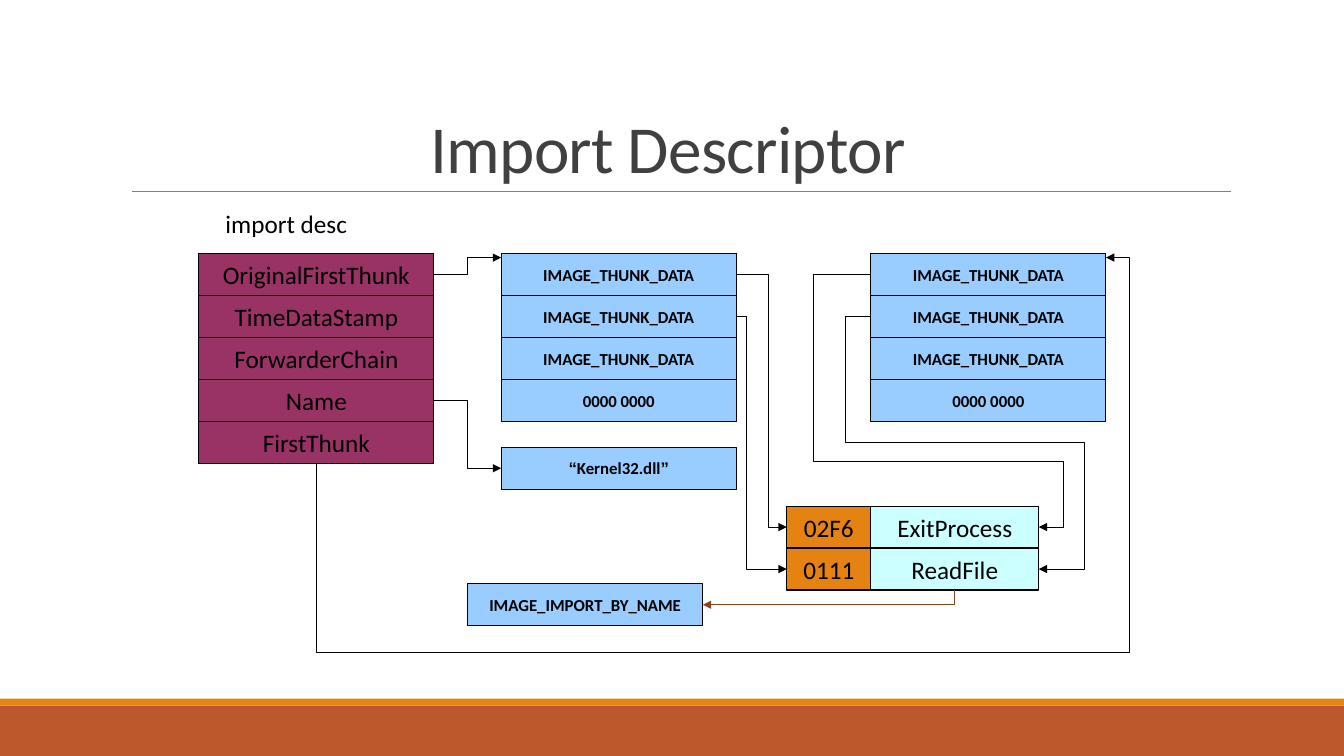
"""Build the Import Descriptor slide with its structure tables and arrows."""
import dataclasses
import itertools
import typing

import lxml.etree
import pptx
import pptx.dml.color
import pptx.enum.shapes
import pptx.enum.text
import pptx.oxml
import pptx.oxml.ns
import pptx.util

Pt = pptx.util.Pt
Align = pptx.enum.text.PP_ALIGN
Anchor = pptx.enum.text.MSO_ANCHOR
AutoSize = pptx.enum.text.MSO_AUTO_SIZE
LEFT, BOTTOM, RIGHT = 1, 2, 3


@dataclasses.dataclass(frozen=True)
class Theme:
    font: str = "Calibri"
    quote_font: str = "Arial"
    ink: str = "000000"
    title_ink: str = "404040"
    rule: str = "808080"
    footer: str = "BD582C"
    orange: str = "E48312"
    descriptor: str = "993366"
    thunk: str = "99CCFF"
    function: str = "CCFFFF"
    name_arrow: str = "8E4221"
    title_size: float = 48
    body_size: float = 18
    small_size: float = 12
    outline: float = 0.75


THEME = Theme()
ROW_HEIGHT = 30
TABLE_TOP = 181
TABLE_WIDTH = 168
DESCRIPTOR_LEFT, LOOKUP_LEFT, ADDRESS_LEFT = 142, 358, 622
HINT_LEFT, HINT_WIDTH = 562, 60
NAMES_TOP = 361.5


@dataclasses.dataclass(frozen=True)
class Column:
    left: float
    top: float
    width: float
    fill: str
    rows: tuple[str, ...]
    size: float = THEME.body_size
    bold: bool = False


@dataclasses.dataclass(frozen=True)
class Route:
    start: typing.Any
    start_site: int
    end: typing.Any
    end_site: int
    bends: int = 3
    adjustments: tuple[float, ...] = ()
    turn: int = 0
    color: str = THEME.ink
    width: float = THEME.outline


def rgb(value: str) -> pptx.dml.color.RGBColor:
    return pptx.dml.color.RGBColor.from_string(value)


def write(frame, text: str, *, size: float = THEME.body_size, color: str = THEME.ink,
          bold: bool = False, align=Align.CENTER, anchor=Anchor.MIDDLE,
          wrap: bool = False, auto_size=AutoSize.NONE,
          line_spacing: float = 1.0, tracking: int = 0) -> None:
    frame.word_wrap = wrap
    frame.auto_size = auto_size
    frame.vertical_anchor = anchor
    paragraph = frame.paragraphs[0]
    paragraph.alignment = align
    paragraph.line_spacing = line_spacing
    for quoted, letters in itertools.groupby(text, lambda letter: letter in "“”"):
        run = paragraph.add_run()
        run.text = "".join(letters)
        run.font.name = THEME.quote_font if quoted else THEME.font
        run.font.size = Pt(size)
        run.font.bold = bold
        run.font.color.rgb = rgb(color)
        if tracking:
            run.font._element.set("spc", str(tracking))


def add_box(slide, left: float, top: float, width: float, height: float,
            fill: str, outlined: bool = True):
    shape = slide.shapes.add_shape(pptx.enum.shapes.MSO_SHAPE.RECTANGLE,
                                   Pt(left), Pt(top), Pt(width), Pt(height))
    shape.shadow.inherit = False
    shape.fill.solid()
    shape.fill.fore_color.rgb = rgb(fill)
    if outlined:
        shape.line.color.rgb = rgb(THEME.ink)
        shape.line.width = Pt(THEME.outline)
    else:
        shape.line.fill.background()
    return shape


def add_column(slide, column: Column) -> list:
    boxes = []
    for index, text in enumerate(column.rows):
        box = add_box(slide, column.left, column.top + index * ROW_HEIGHT,
                      column.width, ROW_HEIGHT, column.fill)
        write(box.text_frame, text, size=column.size, bold=column.bold)
        boxes.append(box)
    return boxes


def style_line(connector, color: str, width: float, arrow: bool = False) -> None:
    connector.line.color.rgb = rgb(color)
    connector.line.width = Pt(width)
    if arrow:
        line = connector.line._get_or_add_ln()
        lxml.etree.SubElement(line, pptx.oxml.ns.qn("a:tailEnd"), type="triangle")
    properties = connector._element.spPr
    lxml.etree.SubElement(properties, pptx.oxml.ns.qn("a:effectLst"))


def turn_connector(connector, degrees: int) -> None:
    center_x = (connector.begin_x + connector.end_x) // 2
    center_y = (connector.begin_y + connector.end_y) // 2
    width, height = connector.height, connector.width
    connector.left, connector.top = center_x - width // 2, center_y - height // 2
    connector.width, connector.height = width, height
    transform = connector._element.spPr.find(pptx.oxml.ns.qn("a:xfrm"))
    for flip in ("flipH", "flipV"):
        transform.attrib.pop(flip, None)
    transform.set("rot", str(degrees * 60000))


def add_route(slide, route: Route) -> None:
    connector = slide.shapes.add_connector(
        pptx.enum.shapes.MSO_CONNECTOR.ELBOW, 0, 0, 0, 0)
    connector.begin_connect(route.start, route.start_site)
    connector.end_connect(route.end, route.end_site)
    if route.turn:
        turn_connector(connector, route.turn)
    geometry = connector._element.spPr.find(pptx.oxml.ns.qn("a:prstGeom"))
    geometry.set("prst", f"bentConnector{route.bends}")
    guides = geometry.find(pptx.oxml.ns.qn("a:avLst"))
    for number, value in enumerate(route.adjustments, 1):
        lxml.etree.SubElement(guides, pptx.oxml.ns.qn("a:gd"), name=f"adj{number}",
                              fmla=f"val {round(value * 100000)}")
    style_line(connector, route.color, route.width, arrow=True)


def add_frame(slide) -> None:
    add_box(slide, 0, 504, 960, 36, THEME.footer, outlined=False)
    add_box(slide, 0, 499, 960, 5, THEME.orange, outlined=False)
    rule = slide.shapes.add_connector(pptx.enum.shapes.MSO_CONNECTOR.STRAIGHT,
                                      Pt(94.5), Pt(136.5), Pt(879), Pt(136.5))
    style_line(rule, THEME.rule, 0.5)
    title = slide.shapes.title
    title.left, title.top, title.width, title.height = Pt(86.4), Pt(22.5), Pt(792), Pt(114.5)
    write(title.text_frame, "Import Descriptor ", size=THEME.title_size,
          color=THEME.title_ink, anchor=Anchor.BOTTOM, wrap=True,
          line_spacing=0.85, tracking=-50)


def add_diagram(slide) -> None:
    lookup_corner, address_corner = [
        add_box(slide, left, TABLE_TOP, TABLE_WIDTH, 6, THEME.thunk)
        for left in (LOOKUP_LEFT, ADDRESS_LEFT)]
    label = slide.shapes.add_textbox(Pt(154), Pt(145.5), Pt(102), Pt(29))
    write(label.text_frame, "import desc", align=Align.LEFT, anchor=Anchor.TOP,
          auto_size=AutoSize.SHAPE_TO_FIT_TEXT)

    def thunk_column(left: float, top: float, *rows: str) -> list:
        return add_column(slide, Column(left, top, TABLE_WIDTH, THEME.thunk, rows,
                                        THEME.small_size, True))

    descriptor = add_column(slide, Column(
        DESCRIPTOR_LEFT, TABLE_TOP, TABLE_WIDTH, THEME.descriptor,
        ("OriginalFirstThunk", "TimeDataStamp", "ForwarderChain", "Name", "FirstThunk")))
    thunk_rows = ("IMAGE_THUNK_DATA",) * 3 + ("0000 0000",)
    lookup = thunk_column(LOOKUP_LEFT, TABLE_TOP, *thunk_rows)
    address = thunk_column(ADDRESS_LEFT, TABLE_TOP, *thunk_rows)
    library, = thunk_column(LOOKUP_LEFT, 319.5, "“Kernel32.dll”")
    import_name, = thunk_column(334, 417, "IMAGE_IMPORT_BY_NAME")
    hints = add_column(slide, Column(HINT_LEFT, NAMES_TOP, HINT_WIDTH, THEME.orange,
                                     ("02F6", "0111")))
    functions = add_column(slide, Column(ADDRESS_LEFT, NAMES_TOP, 2 * HINT_WIDTH,
                                         THEME.function, ("ExitProcess", "ReadFile")))

    routes = [
        Route(descriptor[3], RIGHT, library, LEFT),
        Route(descriptor[0], RIGHT, lookup_corner, LEFT),
        Route(descriptor[4], BOTTOM, address_corner, RIGHT, 4, (-0.92, 1.03), 270),
        Route(lookup[0], RIGHT, hints[0], LEFT, 3, (0.63,)),
        Route(lookup[1], RIGHT, hints[1], LEFT, 3, (0.2,)),
        Route(address[0], LEFT, functions[0], RIGHT, 5, (-0.34, 0.74, 1.15)),
        Route(address[1], LEFT, functions[1], RIGHT, 5, (-0.15, 0.5, 1.27)),
        Route(functions[1], BOTTOM, import_name, RIGHT, 2, (), 90, THEME.name_arrow, 1),
    ]
    for route in routes:
        add_route(slide, route)


def main() -> None:
    presentation = pptx.Presentation()
    presentation.slide_width, presentation.slide_height = Pt(960), Pt(540)
    slide = presentation.slides.add_slide(presentation.slide_layouts[5])
    add_frame(slide)
    add_diagram(slide)
    presentation.save("out.pptx")


main()
